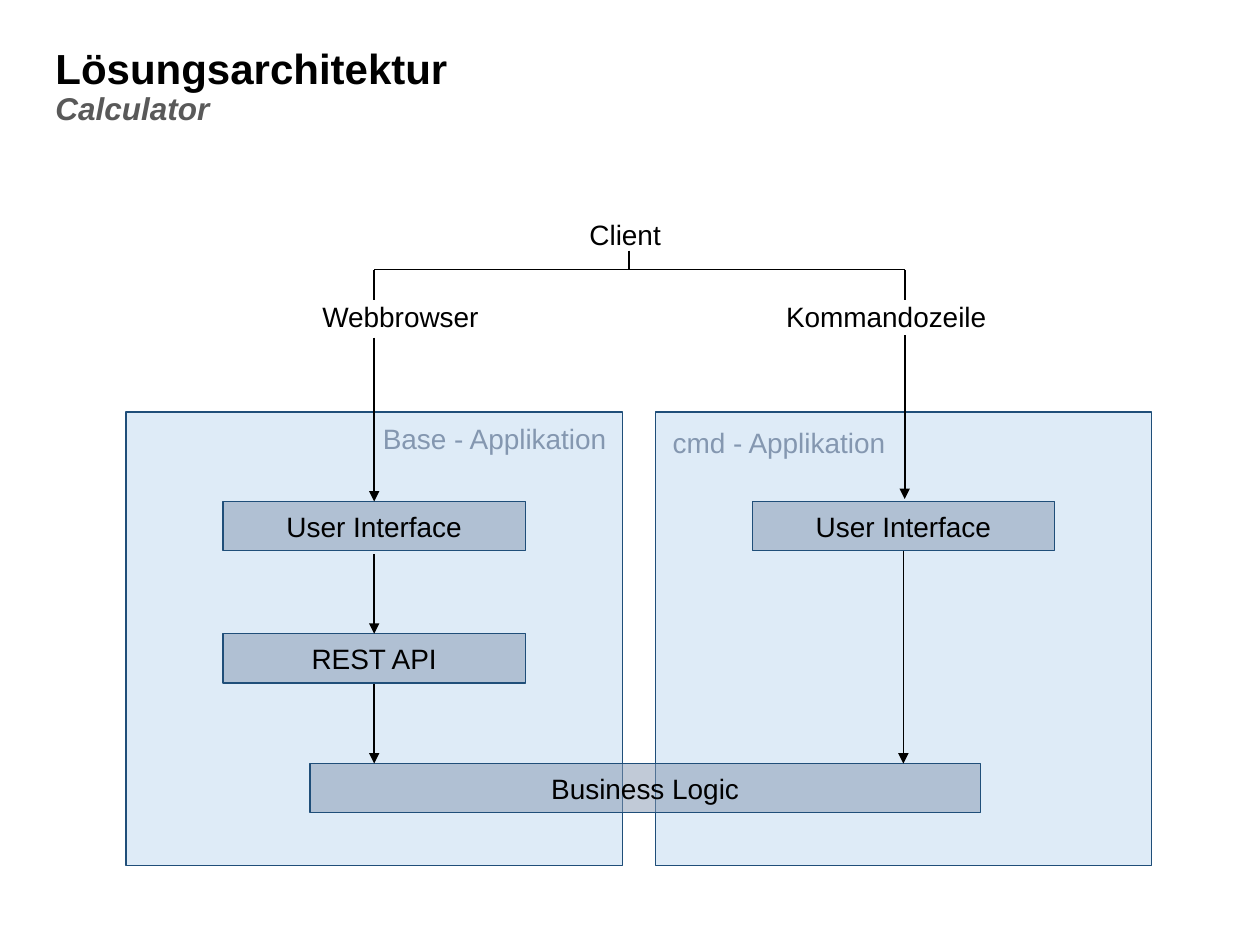
from dataclasses import dataclass

from lxml import etree
from pptx import Presentation, util as u
from pptx.dml.color import RGBColor
from pptx.enum import shapes, text
from pptx.oxml.ns import qn


@dataclass(frozen=True)
class Theme:
    font: str = "Arial"
    ink: str = "000000"
    subtitle: str = "595959"
    muted: str = "8497B0"
    panel: str = "DEEBF7"
    border: str = "1F4E79"
    title_size: int = 24
    subtitle_size: int = 18
    label_size: int = 16
    border_width: float = 0.75
    line_width: float = 1


THEME = Theme()

# Diagram grid: the two channel axes and the rows, in inches
WEB, CMD, CLIENT = 2.97, 7.18, 4.99
BRANCH_ROW, CHANNEL_ROW, PANEL_ROW = 2.14, 2.33, 3.27
INTERFACE_ROW, API_ROW, LOGIC_ROW = 3.98, 5.03, 6.06
PANEL_WIDTH, PANEL_HEIGHT = 3.94, 3.6
BOX_WIDTH, BOX_HEIGHT, LABEL_HEIGHT = 2.4, 0.39, 0.37


def apply_format(target, values):
    for name, value in values.items():
        setattr(target, name, value)


def style_font(font, size, color, **extra):
    apply_format(font, {"name": THEME.font, "size": u.Pt(size), **extra})
    font.color.rgb = RGBColor.from_string(color)


def inches(*lengths):
    return [u.Inches(length) for length in lengths]


def set_title(slide):
    title = slide.shapes.title
    left, top, width, height = inches(0.34, 0.29, 9.29, 0.81)
    apply_format(title, {"left": left, "top": top, "width": width, "height": height})
    apply_format(title.text_frame, {
        "auto_size": text.MSO_AUTO_SIZE.NONE,
        "vertical_anchor": text.MSO_ANCHOR.MIDDLE,
        "word_wrap": True,
    })
    paragraph = title.text_frame.paragraphs[0]
    apply_format(paragraph, {"alignment": text.PP_ALIGN.LEFT, "line_spacing": 0.9})
    heading = paragraph.add_run()
    heading.text = "Lösungsarchitektur"
    style_font(heading.font, THEME.title_size, THEME.ink, bold=True)
    paragraph.add_line_break()
    subtitle = paragraph.add_run()
    subtitle.text = "Calculator"
    style_font(subtitle.font, THEME.subtitle_size, THEME.subtitle, bold=True, italic=True)


def write_label(shape, wording, color, alignment):
    frame = shape.text_frame
    frame.word_wrap = True
    paragraph = frame.paragraphs[0]
    paragraph.alignment = alignment
    run = paragraph.add_run()
    run.text = wording
    style_font(run.font, THEME.label_size, color)


def add_label(slide, wording, left, top, width, color=THEME.ink):
    label = slide.shapes.add_textbox(*inches(left, top, width, LABEL_HEIGHT))
    write_label(label, wording, color, text.PP_ALIGN.LEFT)


def add_rectangle(slide, left, top, width, height, color):
    rectangle = slide.shapes.add_shape(
        shapes.MSO_SHAPE.RECTANGLE, *inches(left, top, width, height))
    rectangle.shadow.inherit = False
    rectangle.fill.solid()
    rectangle.fill.fore_color.rgb = RGBColor.from_string(color)
    rectangle.line.color.rgb = RGBColor.from_string(THEME.border)
    rectangle.line.width = u.Pt(THEME.border_width)
    return rectangle


def add_panel(slide, left):
    add_rectangle(slide, left, PANEL_ROW, PANEL_WIDTH, PANEL_HEIGHT, THEME.panel)


def add_component(slide, wording, center, top, width=BOX_WIDTH):
    """Add a half-transparent box centred on a vertical axis."""
    box = add_rectangle(slide, center - width / 2, top, width, BOX_HEIGHT, THEME.muted)
    fill_color = box._element.spPr.find(qn("a:solidFill"))[0]
    etree.SubElement(fill_color, qn("a:alpha"), val="50000")
    write_label(box, wording, THEME.ink, text.PP_ALIGN.CENTER)


def add_line(slide, start, end, arrow=False):
    connector = slide.shapes.add_connector(
        shapes.MSO_CONNECTOR.STRAIGHT, *inches(*start, *end))
    connector.line.color.rgb = RGBColor.from_string(THEME.ink)
    connector.line.width = u.Pt(THEME.line_width)
    if arrow:
        etree.SubElement(connector.line._get_or_add_ln(), qn("a:tailEnd"), type="triangle")
    etree.SubElement(connector._element.spPr, qn("a:effectLst"))


def add_client_tree(slide):
    add_label(slide, "Client", 4.58, 1.68, 0.82)
    add_label(slide, "Webbrowser", 2.46, CHANNEL_ROW, 1.51)
    add_label(slide, "Kommandozeile", 6.14, CHANNEL_ROW, 1.81)
    add_line(slide, (CLIENT, 1.99), (CLIENT, BRANCH_ROW))
    add_line(slide, (WEB, BRANCH_ROW), (CMD, BRANCH_ROW))
    for axis in (WEB, CMD):
        add_line(slide, (axis, BRANCH_ROW), (axis, 2.38))


def add_applications(slide):
    for left in (1, 5.2):
        add_panel(slide, left)
    add_label(slide, "Base - Applikation", 2.94, 3.3, 2.03, THEME.muted)
    add_label(slide, "cmd - Applikation", 5.24, 3.33, 2.03, THEME.muted)
    for wording, center, top in (
        ("User Interface", WEB, INTERFACE_ROW),
        ("REST API", WEB, API_ROW),
        ("User Interface", CMD - 0.01, INTERFACE_ROW),
    ):
        add_component(slide, wording, center, top)
    add_component(slide, "Business Logic", 5.12, LOGIC_ROW, 5.32)


def add_calls(slide):
    for axis, top, bottom in (
        (WEB, 2.68, INTERFACE_ROW),
        (WEB, 4.4, API_ROW),
        (WEB, 5.43, LOGIC_ROW),
        (CMD, 2.66, 3.96),
        (CMD - 0.01, INTERFACE_ROW + BOX_HEIGHT, LOGIC_ROW),
    ):
        add_line(slide, (axis, top), (axis, bottom), arrow=True)


def main():
    presentation = Presentation()
    apply_format(presentation, {"slide_width": u.Inches(10), "slide_height": u.Inches(7.5)})
    slide = presentation.slides.add_slide(presentation.slide_layouts.get_by_name("Title Only"))
    set_title(slide)
    add_client_tree(slide)
    add_applications(slide)
    add_calls(slide)
    presentation.save("out.pptx")


if __name__ == "__main__":
    main()
